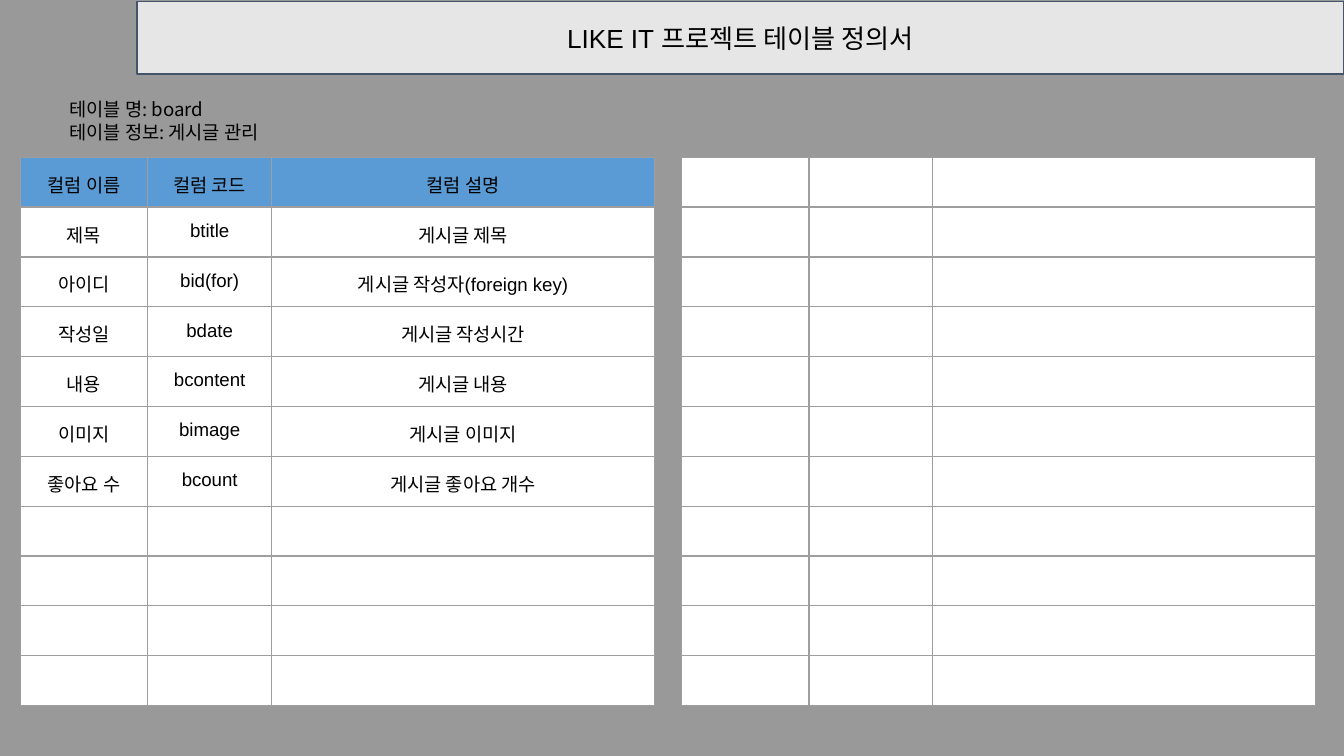
from dataclasses import dataclass

import lxml.etree
import pptx
import pptx.dml.color
import pptx.enum.text
import pptx.oxml.ns
import pptx.slide
import pptx.table
import pptx.text.text
import pptx.util

Inches = pptx.util.Inches
RGBColor = pptx.dml.color.RGBColor
qualify = pptx.oxml.ns.qn

BACKGROUND = RGBColor(0x99, 0x99, 0x99)
PANEL = RGBColor(0xE7, 0xE6, 0xE6)
OUTLINE = RGBColor(0x44, 0x54, 0x6A)
HEADER = RGBColor(0x5B, 0x9B, 0xD5)
GRID = RGBColor(0x9E, 0x9E, 0x9E)
WHITE = RGBColor(0xFF, 0xFF, 0xFF)
BLACK = RGBColor(0x00, 0x00, 0x00)

INSET = Inches(0.1)
ROW_COUNT = 11
TABLE_TOP = 1.17
TABLE_HEIGHT = 4.08
COLUMN_WIDTHS = (0.95, 0.92, 2.85)


@dataclass(frozen=True)
class DefinitionTable:
    left: float
    rows: tuple[tuple[str, str, str], ...] = ()


TABLES = (
    DefinitionTable(0.15, (
        ("컬럼 이름", "컬럼 코드", "컬럼 설명"),
        ("제목", "btitle", "게시글 제목"),
        ("아이디", "bid(for)", "게시글 작성자(foreign key)"),
        ("작성일", "bdate", "게시글 작성시간"),
        ("내용", "bcontent", "게시글 내용"),
        ("이미지", "bimage", "게시글 이미지"),
        ("좋아요 수", "bcount", "게시글 좋아요 개수"),
    )),
    DefinitionTable(5.07),
)


def format_paragraph(
    paragraph: pptx.text.text._Paragraph, size: int, font_name: str,
    alignment: pptx.enum.text.PP_ALIGN,
) -> None:
    paragraph.alignment = alignment
    paragraph.font.size = pptx.util.Pt(size)
    paragraph.font.name = font_name
    paragraph.font.color.rgb = BLACK


def set_insets(text_frame: pptx.text.text.TextFrame) -> None:
    text_frame.word_wrap = True
    text_frame.margin_left = text_frame.margin_right = INSET
    text_frame.margin_top = text_frame.margin_bottom = INSET


def add_title(slide: pptx.slide.Slide) -> None:
    title = slide.shapes.title
    title.left, title.top = Inches(1.02), Inches(0.01)
    title.width, title.height = Inches(8.98), Inches(0.54)
    geometry = lxml.etree.SubElement(
        title._element.spPr, qualify("a:prstGeom"), prst="roundRect")
    lxml.etree.SubElement(geometry, qualify("a:avLst"))
    title.fill.solid()
    title.fill.fore_color.rgb = PANEL
    title.line.color.rgb = OUTLINE
    title.line.width = pptx.util.Pt(0.75)
    text_frame = title.text_frame
    text_frame.text = "LIKE IT 프로젝트 테이블 정의서"
    text_frame.auto_size = pptx.enum.text.MSO_AUTO_SIZE.NONE
    text_frame.vertical_anchor = pptx.enum.text.MSO_ANCHOR.MIDDLE
    set_insets(text_frame)
    format_paragraph(text_frame.paragraphs[0], 14, "Arial",
                     pptx.enum.text.PP_ALIGN.CENTER)


def add_table_information(slide: pptx.slide.Slide) -> None:
    text_box = slide.shapes.add_textbox(
        Inches(0.42), Inches(0.63), Inches(4.46), Inches(0.54))
    text_frame = text_box.text_frame
    text_frame.text = "테이블 명: board\n테이블 정보: 게시글 관리"
    set_insets(text_frame)
    for paragraph in text_frame.paragraphs:
        format_paragraph(paragraph, 10, "Noto Sans CJK KR",
                         pptx.enum.text.PP_ALIGN.LEFT)


def add_borders(cell: pptx.table._Cell) -> None:
    properties = cell._tc.get_or_add_tcPr()
    for side in ("lnL", "lnR", "lnT", "lnB"):
        line = lxml.etree.SubElement(
            properties, qualify(f"a:{side}"), w=str(pptx.util.Pt(0.75)))
        fill = lxml.etree.SubElement(line, qualify("a:solidFill"))
        lxml.etree.SubElement(fill, qualify("a:srgbClr"), val=str(GRID))


def fill_cell(cell: pptx.table._Cell, text: str, color: RGBColor) -> None:
    add_borders(cell)
    cell.fill.solid()
    cell.fill.fore_color.rgb = color
    cell.margin_left = cell.margin_right = INSET
    cell.margin_top = cell.margin_bottom = INSET if text else 0
    cell.text = text
    format_paragraph(cell.text_frame.paragraphs[0], 10, "Arial",
                     pptx.enum.text.PP_ALIGN.CENTER)


def add_definition_table(slide: pptx.slide.Slide, definition: DefinitionTable) -> None:
    table = slide.shapes.add_table(
        ROW_COUNT, len(COLUMN_WIDTHS), Inches(definition.left), Inches(TABLE_TOP),
        Inches(sum(COLUMN_WIDTHS)), Inches(TABLE_HEIGHT)).table
    table.first_row = bool(definition.rows)
    table.horz_banding = False
    for column, width in zip(table.columns, COLUMN_WIDTHS):
        column.width = Inches(width)
    empty_row = ("",) * len(COLUMN_WIDTHS)
    for index, row in enumerate(table.rows):
        row.height = Inches(TABLE_HEIGHT / ROW_COUNT)
        texts = definition.rows[index] if index < len(definition.rows) else empty_row
        color = HEADER if definition.rows and index == 0 else WHITE
        for cell, text in zip(row.cells, texts):
            fill_cell(cell, text, color)


def main() -> None:
    presentation = pptx.Presentation()
    presentation.slide_width = Inches(10)
    presentation.slide_height = presentation.slide_width * 9 // 16
    slide = presentation.slides.add_slide(presentation.slide_layouts[5])
    slide.background.fill.solid()
    slide.background.fill.fore_color.rgb = BACKGROUND
    add_title(slide)
    add_table_information(slide)
    for definition in TABLES:
        add_definition_table(slide, definition)
    presentation.save("out.pptx")


if __name__ == "__main__":
    main()
